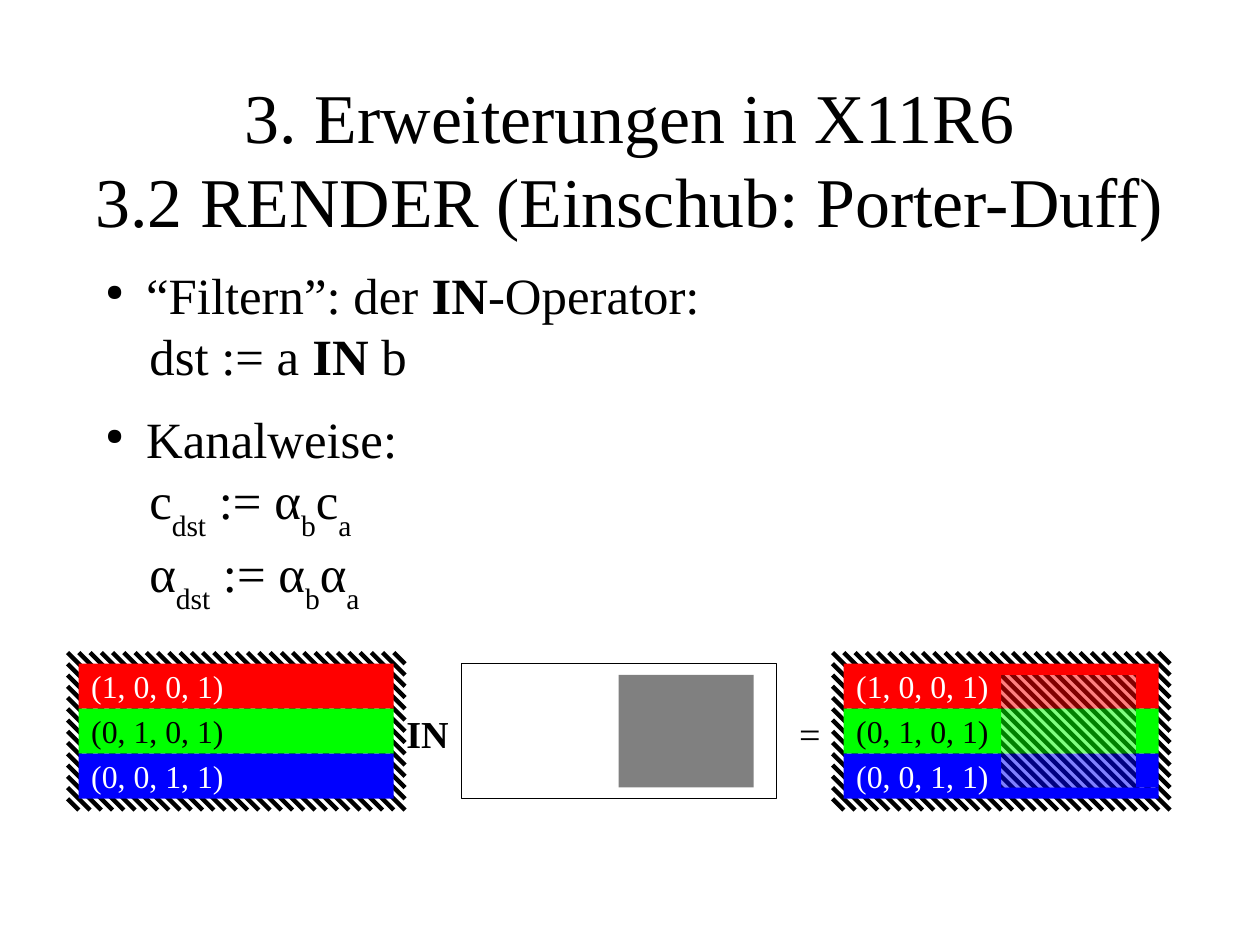
"""Build the slide on the IN operator of Porter-Duff compositing."""
import lxml.etree
import pptx
import pptx.dml.color
import pptx.enum.shapes
import pptx.enum.text
import pptx.oxml.ns
import pptx.util

PX = 9000
FONT = "Times New Roman"
BLACK, WHITE, GREY = "000000", "FFFFFF", "808080"
RED, GREEN, BLUE = "FF0000", "00FF00", "0000FF"
STEP, FRAME_TOP, COLUMNS, ROWS = 10, 580, 30, 14
FRAME_LEFTS = (60, 740)
CENTER = pptx.enum.text.PP_ALIGN.CENTER
MIDDLE = pptx.enum.text.MSO_ANCHOR.MIDDLE
qn = pptx.oxml.ns.qn

presentation = pptx.Presentation()
presentation.slide_width = 1120 * PX
presentation.slide_height = 840 * PX
slide = presentation.slides.add_slide(presentation.slide_layouts[6])


def color(value):
    return pptx.dml.color.RGBColor.from_string(value)


def write(shape, paragraphs, size, ink=BLACK, align=CENTER, anchor=MIDDLE):
    frame = shape.text_frame
    frame.word_wrap = True
    frame.vertical_anchor = anchor
    frame.margin_left = frame.margin_top = frame.margin_right = frame.margin_bottom = 0
    for index, runs in enumerate(paragraphs):
        paragraph = frame.add_paragraph() if index else frame.paragraphs[0]
        paragraph.alignment = align
        paragraph.font.size = pptx.util.Pt(size)
        for text, style in runs:
            if style == "break":
                paragraph.add_line_break()
            run = paragraph.add_run()
            run.text = text
            run.font.name = FONT
            run.font.size = pptx.util.Pt(size)
            run.font.color.rgb = color(ink)
            run.font.bold = style == "bold"
            if style == "sub":
                run.font._element.set("baseline", "-33000")


title = slide.shapes.add_textbox(82 * PX, 70 * PX, 956 * PX, 140 * PX)
write(title, [[("3. Erweiterungen in X11R6", ""),
               ("3.2 RENDER (Einschub: Porter-Duff)", "break")]], 44)

body = slide.shapes.add_textbox(82 * PX, 234 * PX, 956 * PX, 529 * PX)
write(body, [
    [("“Filtern”: der ", ""), ("IN", "bold"), ("-Operator:", ""),
     ("\tdst := a ", "break"), ("IN", "bold"), (" b", "")],
    [("Kanalweise:", ""),
     ("\tc", "break"), ("dst", "sub"), (" := α", ""), ("b", "sub"), ("c", ""), ("a", "sub"),
     ("\tα", "break"), ("dst", "sub"), (" := α", ""), ("b", "sub"), ("α", ""), ("a", "sub")],
], 32, align=pptx.enum.text.PP_ALIGN.LEFT, anchor=pptx.enum.text.MSO_ANCHOR.TOP)
for paragraph in body.text_frame.paragraphs:
    paragraph.space_after = pptx.util.Pt(14.2)
    properties = paragraph._p.get_or_add_pPr()
    properties.set("marL", str(48 * PX))
    properties.set("indent", str(-36 * PX))
    bullet_color = lxml.etree.SubElement(properties, qn("a:buClr"))
    lxml.etree.SubElement(bullet_color, qn("a:srgbClr"), val=BLACK)
    lxml.etree.SubElement(properties, qn("a:buSzPct"), val="45000")
    lxml.etree.SubElement(properties, qn("a:buChar"), char="●")
    properties.append(properties.find(qn("a:defRPr")))

for frame_left in FRAME_LEFTS:
    for diagonal in range(1 - ROWS, COLUMNS):
        column, row = max(diagonal, 0), max(-diagonal, 0)
        length = min(COLUMNS - column, ROWS - row) * STEP
        x, y = frame_left + column * STEP, FRAME_TOP + row * STEP
        hatch = slide.shapes.add_connector(
            pptx.enum.shapes.MSO_CONNECTOR.STRAIGHT,
            x * PX, y * PX, (x + length) * PX, (y + length) * PX)
        hatch.line.color.rgb = color(BLACK)
        hatch.line.width = pptx.util.Pt(2.83)
        lxml.etree.SubElement(hatch._element.spPr, qn("a:effectLst"))

bars = [(left + 10, top, 140, 40, fill, 100, label, ink)
        for left in FRAME_LEFTS
        for top, fill, label, ink in ((590, RED, "(1, 0, 0, 1)", WHITE),
                                      (630, GREEN, "(0, 1, 0, 1)", BLACK),
                                      (670, BLUE, "(0, 0, 1, 1)", WHITE))]
areas = [(210, 590 + 40 * index, 140, 40, fill, 100)
         for index, fill in enumerate((RED, GREEN, BLUE))]
areas += [(890, 590, 140, 10, RED, 100), (890, 700, 140, 10, BLUE, 100)]
for top, height, fill in ((600, 30, RED), (630, 40, GREEN), (670, 30, BLUE)):
    areas += [(1010, top, 20, height, fill, 100), (890, top, 120, height, fill, 50)]
areas += [(410, 590, 280, 120, WHITE, 100), (550, 600, 120, 100, GREY, 100)]

for left, top, width, height, fill, opacity, *caption in bars + areas:
    area = slide.shapes.add_shape(pptx.enum.shapes.MSO_SHAPE.RECTANGLE,
                                  left * PX, top * PX, width * PX, height * PX)
    area.shadow.inherit = False
    area.fill.solid()
    area.fill.fore_color.rgb = color(fill)
    if opacity < 100:
        tone = area._element.spPr.find(qn("a:solidFill")).find(qn("a:srgbClr"))
        lxml.etree.SubElement(tone, qn("a:alpha"), val=str(opacity * 1000))
    if fill == WHITE:
        area.line.color.rgb = color(BLACK)
        area.line.width = 0
    else:
        area.line.fill.background()
    if caption:
        label, ink = caption
        write(area, [[(label, "")]], 20, ink)

for left, sign, style in ((350, "IN", "bold"), (690, "=", "")):
    operator = slide.shapes.add_textbox(left * PX, 633 * PX, 60 * PX, 38 * PX)
    write(operator, [[(sign, style)]], 24)

presentation.save("out.pptx")
